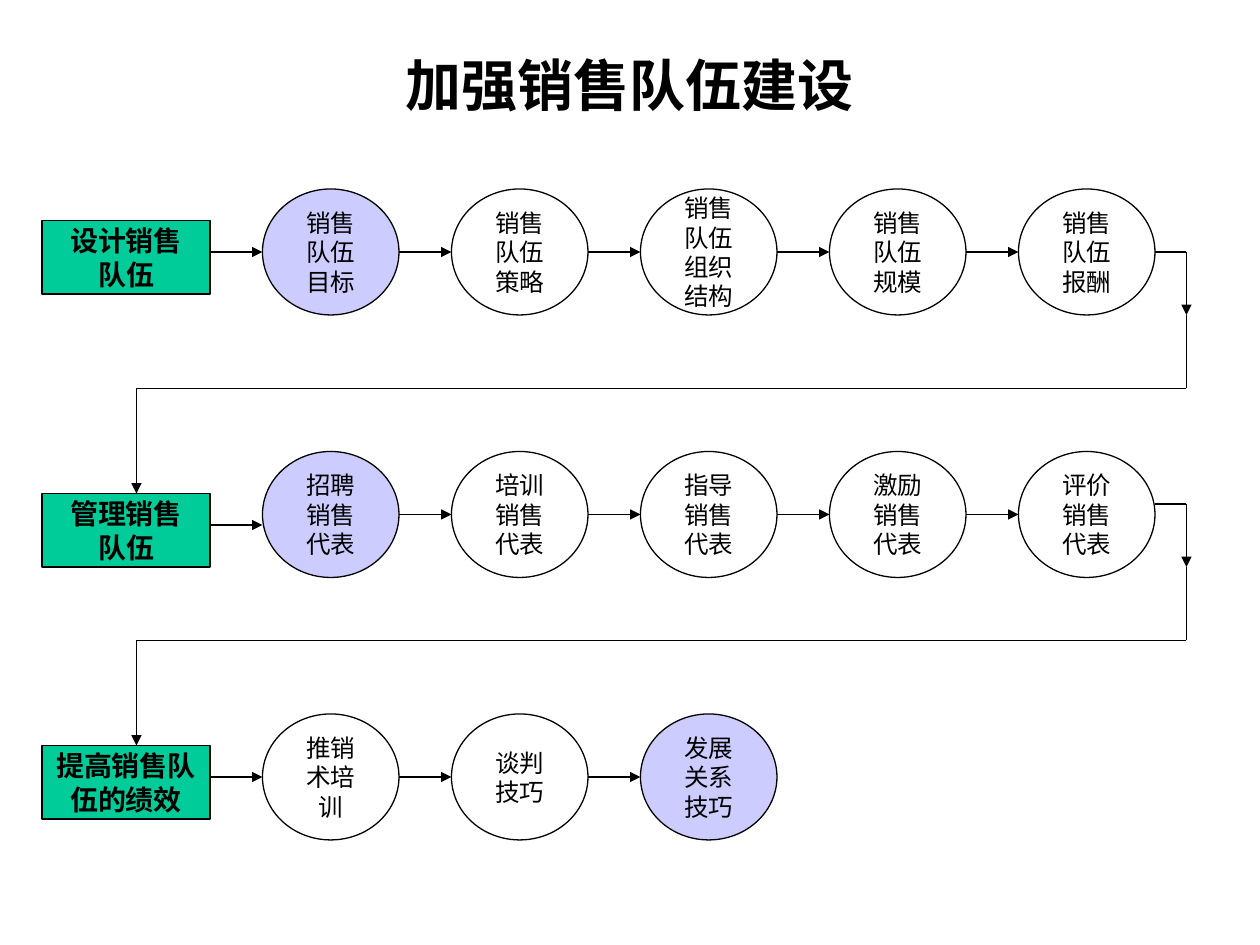
from dataclasses import dataclass
from itertools import pairwise

from lxml.etree import SubElement
from pptx import Presentation
from pptx.dml.color import RGBColor
from pptx.enum.shapes import MSO_CONNECTOR, MSO_SHAPE
from pptx.enum.text import MSO_ANCHOR, PP_ALIGN
from pptx.oxml.ns import qn
from pptx.util import Emu, Pt

EMU_PER_PX = 7620  # 120 px to the inch
FONT = "Times New Roman"
COLORS = {"ink": "000000", "stage": "00CC99", "key": "CCCCFF", "white": "FFFFFF"}

# Shared grid, in px
BOX_LEFT, BOX_WIDTH, BOX_HEIGHT = 40, 160, 70
STEP_LEFT, STEP_WIDTH, STEP_HEIGHT, STEP_PITCH = 250, 130, 120, 180
RETURN_LEFT, RETURN_RIGHT = 130, 1130
LAST_STEP_RIGHT = STEP_LEFT + 4 * STEP_PITCH + STEP_WIDTH


@dataclass(frozen=True)
class Step:
    text: str
    fill: str | None = None


@dataclass(frozen=True)
class Stage:
    lines: tuple[str, ...]
    box_top: int
    step_top: int
    steps: tuple[Step, ...]


STAGES = (
    Stage(("设计销售", "队伍"), 210, 180, (
        Step("销售队伍目标", "key"), Step("销售队伍策略"), Step("销售队伍组织结构"),
        Step("销售队伍规模"), Step("销售队伍报酬"))),
    Stage(("管理销售", "队伍"), 470, 430, (
        Step("招聘销售代表", "key"), Step("培训销售代表"), Step("指导销售代表"),
        Step("激励销售代表"), Step("评价销售代表"))),
    Stage(("提高销售队伍的绩效",), 710, 680, (
        Step("推销术培训", "white"), Step("谈判技巧"), Step("发展关系技巧", "key"))),
)


def px(value: int) -> Emu:
    return Emu(value * EMU_PER_PX)


def rgb(name: str) -> RGBColor:
    return RGBColor.from_string(COLORS[name])


def write_text(shape, *lines: str, size: int, bold: bool = False) -> None:
    frame = shape.text_frame
    frame.word_wrap = True
    frame.vertical_anchor = MSO_ANCHOR.MIDDLE
    frame.text = "\n".join(lines)
    for paragraph in frame.paragraphs:
        paragraph.alignment = PP_ALIGN.CENTER
        font = paragraph.runs[0].font
        font.name, font.size, font.bold = FONT, Pt(size), bold
        font.color.rgb = rgb("ink")


def add_outlined(slide, kind: MSO_SHAPE, left: int, top: int,
                 width: int, height: int, fill: str | None):
    shape = slide.shapes.add_shape(kind, px(left), px(top), px(width), px(height))
    shape.shadow.inherit = False
    if fill:
        shape.fill.solid()
        shape.fill.fore_color.rgb = rgb(fill)
    else:
        shape.fill.background()
    shape.line.color.rgb = rgb("ink")
    shape.line.width = Pt(0.75)
    return shape


def add_line(slide, start: tuple[int, int], end: tuple[int, int],
             arrow: bool = False) -> None:
    connector = slide.shapes.add_connector(
        MSO_CONNECTOR.STRAIGHT, *map(px, start), *map(px, end))
    connector.line.color.rgb = rgb("ink")
    connector.line.width = Pt(0.75)
    if arrow:
        SubElement(connector.line._get_or_add_ln(), qn("a:tailEnd"), type="triangle")
    SubElement(connector._element.spPr, qn("a:effectLst"))


def draw_stage(slide, stage: Stage) -> None:
    box = add_outlined(slide, MSO_SHAPE.RECTANGLE, BOX_LEFT, stage.box_top,
                       BOX_WIDTH, BOX_HEIGHT, "stage")
    write_text(box, *stage.lines, size=16, bold=True)
    entry = stage.box_top + 30
    add_line(slide, (BOX_LEFT + BOX_WIDTH, entry), (STEP_LEFT, entry), arrow=True)

    middle = stage.step_top + STEP_HEIGHT // 2
    for index, step in enumerate(stage.steps):
        left = STEP_LEFT + index * STEP_PITCH
        ellipse = add_outlined(slide, MSO_SHAPE.OVAL, left, stage.step_top,
                               STEP_WIDTH, STEP_HEIGHT, step.fill)
        write_text(ellipse, step.text, size=14)
        if index:
            previous_right = left - STEP_PITCH + STEP_WIDTH
            add_line(slide, (previous_right, middle), (left, middle), arrow=True)


def draw_return(slide, next_top: int) -> None:
    """Lead from the last step of a row back to the next stage box."""
    leave, turn = next_top - 230, next_top - 100
    points = (
        (LAST_STEP_RIGHT, leave), (RETURN_RIGHT, leave), (RETURN_RIGHT, leave + 60),
        (RETURN_RIGHT, turn), (RETURN_LEFT, turn), (RETURN_LEFT, next_top),
    )
    for index, (start, end) in enumerate(pairwise(points)):
        add_line(slide, start, end, arrow=index in (1, 4))


def main() -> None:
    presentation = Presentation()
    presentation.slide_width, presentation.slide_height = px(1200), px(900)
    slide = presentation.slides.add_slide(presentation.slide_layouts[6])

    # Title
    title = slide.shapes.add_textbox(px(90), px(50), px(1020), px(60))
    write_text(title, "加强销售队伍建设", size=32, bold=True)

    # Stage rows
    for stage in STAGES:
        draw_stage(slide, stage)

    # Return paths between rows
    for stage in STAGES[1:]:
        draw_return(slide, stage.box_top)

    presentation.save("out.pptx")


if __name__ == "__main__":
    main()
